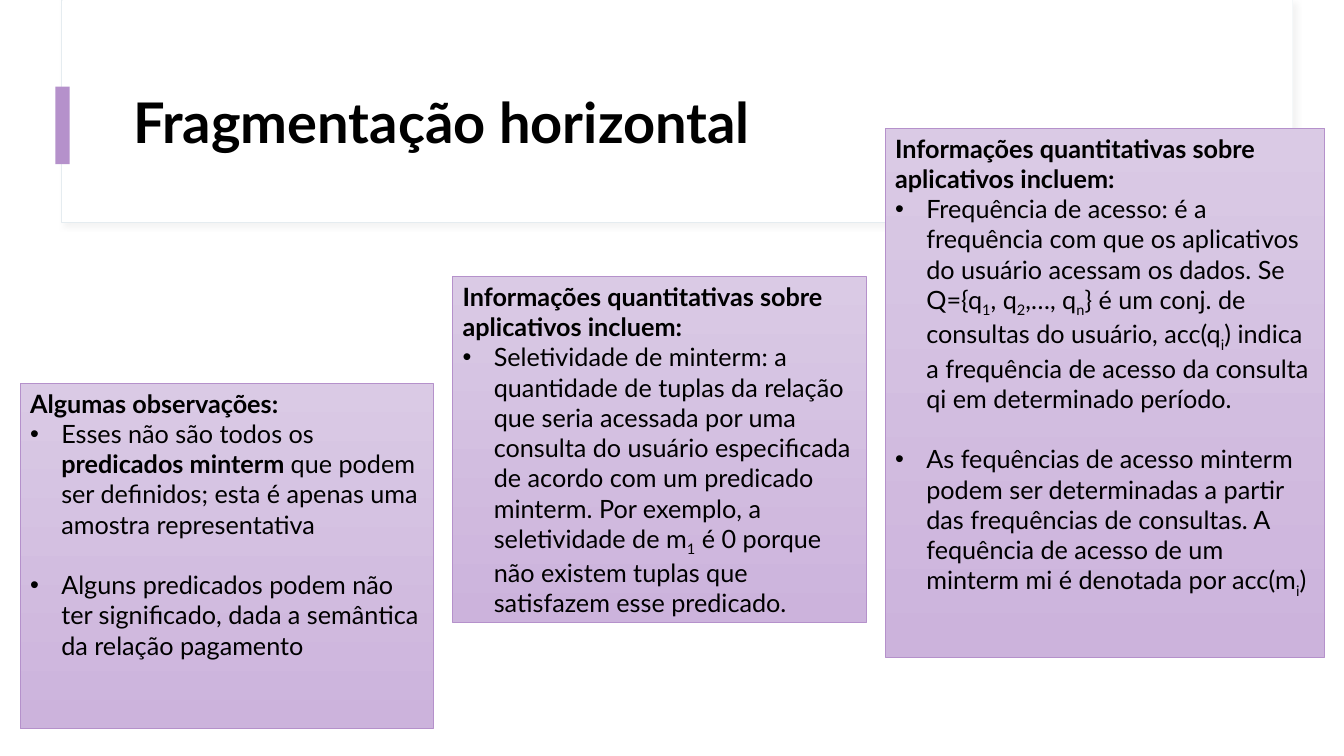
from dataclasses import dataclass

import pptx
import pptx.dml.color
import pptx.enum.shapes
import pptx.enum.text
import pptx.oxml
import pptx.oxml.ns
import pptx.util
from pptx.util import Inches, Pt

BOLD, SUB = "bold", "sub"


def rgb(code):
    return pptx.dml.color.RGBColor.from_string(code)


@dataclass(frozen=True)
class Theme:
    font: str = "Lato"
    ink: str = "000000"
    paper: str = "FFFFFF"
    frame: str = "E5ECF0"
    shadow: str = "D9D9D9"
    accent: str = "B591CB"
    card_top: str = "DACAE5"
    card_bottom: str = "CCB3DC"
    title_size: int = 40
    text_size: int = 18
    bullet_gap: float = 21.6


class SlideBuilder:
    def __init__(self, slide, theme):
        self.slide = slide
        self.theme = theme

    def rectangle(self, left, top, width, height, fill=None, line=None, line_width=0.5):
        rect = self.slide.shapes.add_shape(
            pptx.enum.shapes.MSO_SHAPE.RECTANGLE,
            Inches(left), Inches(top), Inches(width), Inches(height))
        rect.shadow.inherit = False
        if fill:
            rect.fill.solid()
            rect.fill.fore_color.rgb = rgb(fill)
        if line:
            rect.line.color.rgb = rgb(line)
            rect.line.width = Pt(line_width)
        else:
            rect.line.fill.background()
        return rect

    def header_frame(self):
        theme = self.theme
        frame = self.rectangle(0.61, 0, 12.21, 2.21, theme.paper, theme.frame, 0.75)
        effects = frame._element.spPr.find(pptx.oxml.ns.qn("a:effectLst"))
        effects.append(pptx.oxml.parse_xml(
            f'<a:outerShdw {pptx.oxml.ns.nsdecls("a")} blurRad="{Pt(4)}" dist="{Pt(3)}" '
            f'dir="2700000" algn="tl" rotWithShape="0"><a:srgbClr val="{theme.shadow}">'
            '<a:alpha val="30000"/></a:srgbClr></a:outerShdw>'))
        self.rectangle(0.62, 0, 12.2, 2.2, theme.paper)
        self.rectangle(0.55, 0.86, 0.14, 0.77, theme.accent)

    def title(self, text):
        title = self.slide.shapes.title
        title.left, title.top = Inches(1.22), Inches(0.6)
        title.width, title.height = Inches(11.12), Inches(1.29)
        frame = title.text_frame
        frame.text = text
        frame.word_wrap = True
        frame.auto_size = pptx.enum.text.MSO_AUTO_SIZE.NONE
        frame.vertical_anchor = pptx.enum.text.MSO_ANCHOR.MIDDLE
        paragraph = frame.paragraphs[0]
        paragraph.line_spacing = 0.9
        self.style(paragraph, self.theme.title_size, bold=True)
        # The white header frame must lie behind the title.
        title.element.getparent().append(title.element)

    def style(self, paragraph, size, bold=None):
        paragraph.alignment = pptx.enum.text.PP_ALIGN.LEFT
        font = paragraph.font
        font.name = self.theme.font
        font.size = Pt(size)
        font.bold = bold
        font.color.rgb = rgb(self.theme.ink)

    def card(self, left, top, width, height, heading, bullets):
        card = self.rectangle(left, top, width, height, line=self.theme.accent)
        card.fill.gradient()
        card.fill.gradient_angle = 270
        for stop, color in zip(card.fill.gradient_stops,
                               (self.theme.card_top, self.theme.card_bottom)):
            stop.color.rgb = rgb(color)
        frame = card.text_frame
        frame.word_wrap = True
        frame.vertical_anchor = pptx.enum.text.MSO_ANCHOR.TOP
        frame.paragraphs[0].text = heading
        self.style(frame.paragraphs[0], self.theme.text_size, bold=True)
        for index, parts in enumerate(bullets):
            self.bullet(frame.add_paragraph(), parts, self.theme.bullet_gap if index else 0)

    def bullet(self, paragraph, parts, gap):
        """Fill a bulleted paragraph from plain strings and (text, mark) pairs."""
        paragraph.space_before = Pt(gap)
        properties = paragraph._p.get_or_add_pPr()
        properties.set("marL", str(Inches(0.31)))
        properties.set("indent", str(-Inches(0.31)))
        for tag in ('buFont typeface="Arial"', 'buChar char="•"'):
            properties.append(pptx.oxml.parse_xml(f'<a:{tag} {pptx.oxml.ns.nsdecls("a")}/>'))
        self.style(paragraph, self.theme.text_size)
        for part in parts:
            text, mark = (part, None) if isinstance(part, str) else part
            run = paragraph.add_run()
            run.text = text
            if mark == BOLD:
                run.font.bold = True
            elif mark == SUB:
                run._r.get_or_add_rPr().set("baseline", "-25000")


def main():
    deck = pptx.Presentation()
    deck.slide_width, deck.slide_height = Inches(13.33), Inches(7.5)
    title_only = deck.slide_layouts[5]
    builder = SlideBuilder(deck.slides.add_slide(title_only), Theme())

    builder.header_frame()
    builder.title("Fragmentação horizontal")

    quantitative = "Informações quantitativas sobre aplicativos incluem:"
    builder.card(0.2, 3.8, 4.1, 3.43, "Algumas observações:", [
        ["Esses não são todos os ", ("predicados minterm ", BOLD),
         "que podem ser definidos; esta é apenas uma amostra representativa"],
        ["Alguns predicados podem não ter significado, dada a semântica da relação pagamento"],
    ])
    builder.card(4.49, 2.74, 4.1, 3.43, quantitative, [
        ["Seletividade de minterm: a quantidade de tuplas da relação que seria acessada "
         "por uma consulta do usuário especificada de acordo com um predicado minterm. "
         "Por exemplo, a seletividade de m", ("1", SUB),
         " é 0 porque não existem tuplas que satisfazem esse predicado."],
    ])
    builder.card(8.78, 1.27, 4.36, 5.25, quantitative, [
        ["Frequência de acesso: é a frequência com que os aplicativos do usuário acessam "
         "os dados. Se Q={q", ("1", SUB), ", q", ("2", SUB), ",…, q", ("n", SUB),
         "} é um conj. de consultas do usuário, acc(q", ("i", SUB),
         ") indica a frequência de acesso da consulta qi em determinado período."],
        ["As fequências de acesso minterm podem ser determinadas a partir das frequências "
         "de consultas. A fequência de acesso de um minterm mi é denotada por acc(m",
         ("i", SUB), ")"],
    ])
    deck.save("out.pptx")


if __name__ == "__main__":
    main()
